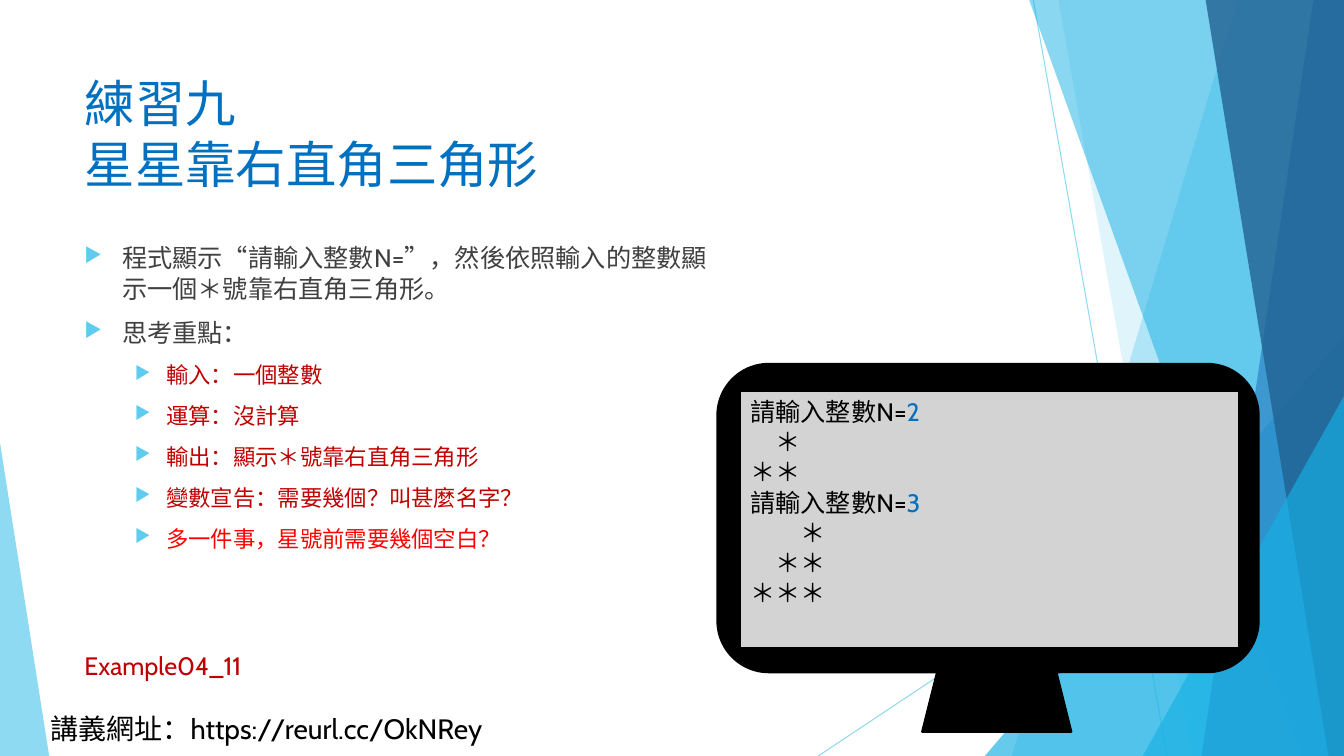
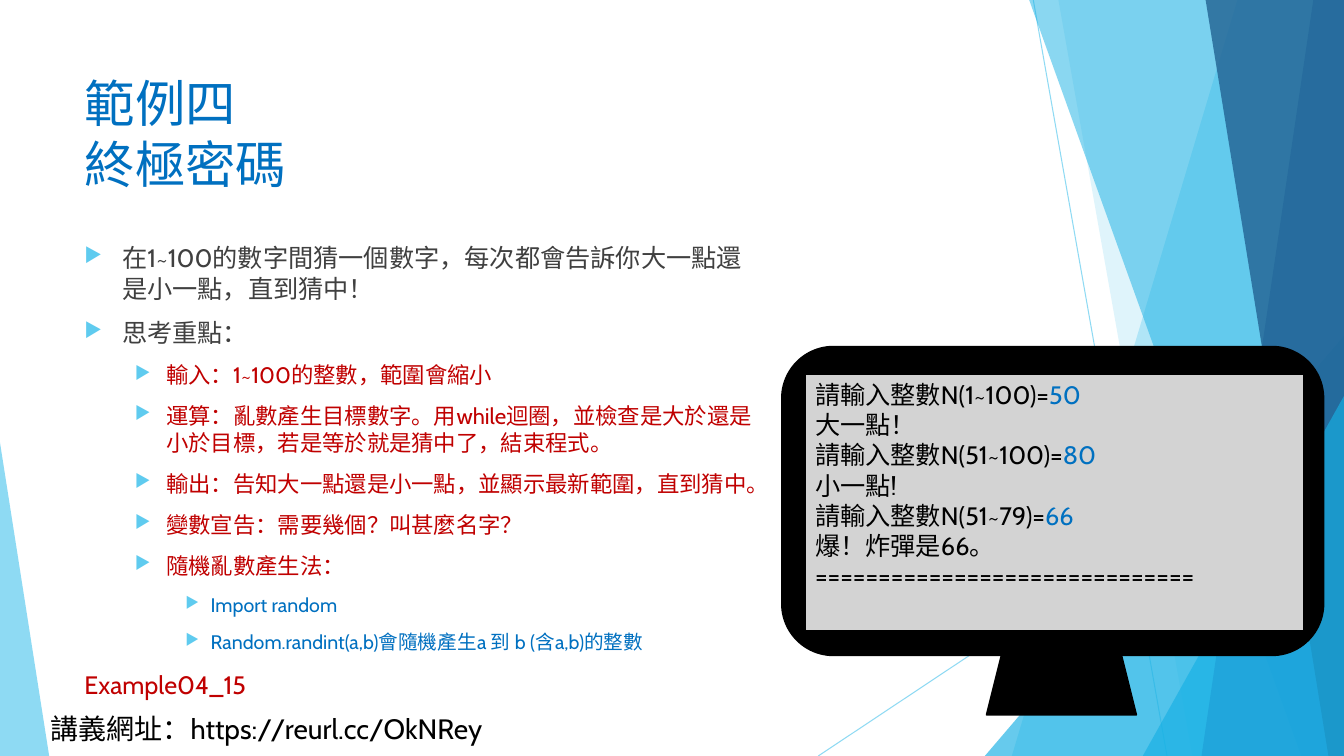
"""Two programming exercise slides with task notes and a monitor showing sample output."""
from lxml import etree
from pptx import Presentation
from pptx import util as u
from pptx.dml.color import RGBColor
from pptx.enum import shapes, text
from pptx.oxml.ns import qn

HUES = {
    "sky": "5FCBEF", "cyan": "17B0E4", "blue": "2E83C3", "navy": "226292",
    "title": "0070C0", "body": "404040", "deep": "C00000", "red": "FF0000",
    "black": "000000", "screen": "D3D3D3",
}
FONT = "Cabin"
WIDE, HIGH = 33.87, 19.05
RGB = {name: RGBColor.from_string(code) for name, code in HUES.items()}
KIND = shapes.MSO_SHAPE


def fade(shape, alpha):
    for tone in shape.element.iter(qn("a:srgbClr")):
        etree.SubElement(tone, qn("a:alpha")).set("val", str(alpha * 1000))


def style(para, size, hue):
    para.alignment = text.PP_ALIGN.LEFT
    para.font.name = FONT
    para.font.size = u.Pt(size)
    para.font.color.rgb = RGB[hue]


LINES = [((26.04, 0), (29.41, HIGH)), ((WIDE, 10.24), (20.62, HIGH))]
PANES = [
    ("sky", 36, (31.19, 25.5)),
    ("sky", 20, (26.67, 30.05)),
    ("cyan", 66, (24.82, 8.46, 9.05, 10.59)),
    ("cyan", 50, (25.93, 32.79)),
    ("blue", 70, (33.1, 30.28)),
    ("navy", 80, (30.38, 33.48)),
    ("cyan", 66, (28.8, 9.98, 5.07, 9.07)),
    ("sky", 70, (0, 11.15, 1.24, 7.9)),
]
LEVELS = [(0.95, 0.95, 18), (2.06, 0.79, 16), (3.18, 0.64, 14)]
MONITOR = [
    (KIND.ROUNDED_RECTANGLE, "black", (0, 0, 13.64, 7.77)),
    (KIND.TRAPEZOID, "black", (5.16, 7.77, 3.76, 1.5)),
    (KIND.RECTANGLE, "screen", (0.58, 0.69, 12.57, 6.48)),
]
PAGES = [
    {
        "title": "練習九\v星星靠右直角三角形",
        "width": 16.21,
        "notes": [
            (0, "body", "程式顯示“請輸入整數N=”，然後依照輸入的整數顯示一個＊號靠右直角三角形。"),
            (0, "body", "思考重點："),
            (1, "deep", "輸入：一個整數"),
            (1, "deep", "運算：沒計算"),
            (1, "deep", "輸出：顯示＊號靠右直角三角形"),
            (1, "deep", "變數宣告：需要幾個？叫甚麼名字？"),
            (1, "red", "多一件事，星號前需要幾個空白？"),
        ],
        "spot": (18.08, 9.17),
        "output": [
            ("請輸入整數N=", "2"), ("　＊", ""), ("＊＊", ""),
            ("請輸入整數N=", "3"), ("　　＊", ""), ("　＊＊", ""), ("＊＊＊", ""),
        ],
        "tag": ("Example04_11", 16.26),
    },
    {
        "title": "範例四\v終極密碼",
        "width": 17.35,
        "notes": [
            (0, "body", "在1~100的數字間猜一個數字，每次都會告訴你大一點還是小一點，直到猜中！"),
            (0, "body", "思考重點："),
            (1, "deep", "輸入：1~100的整數，範圍會縮小"),
            (1, "deep", "運算：亂數產生目標數字。用while迴圈，並檢查是大於還是小於目標，若是等於就是猜中了，結束程式。"),
            (1, "deep", "輸出：告知大一點還是小一點，並顯示最新範圍，直到猜中。"),
            (1, "deep", "變數宣告：需要幾個？叫甚麼名字？"),
            (1, "deep", "隨機亂數產生法："),
            (2, "title", "Import random"),
            (2, "title", "Random.randint(a,b)會隨機產生a 到 b (含a,b)的整數"),
        ],
        "spot": (19.71, 8.74),
        "output": [
            ("請輸入整數N(1~100)=", "50"), ("大一點！", ""),
            ("請輸入整數N(51~100)=", "80"), ("小一點!", ""),
            ("請輸入整數N(51~79)=", "66"), ("爆！炸彈是66。", ""),
            ("=" * 30, ""),
        ],
        "tag": ("Example04_15", 16.74),
    },
]

deck = Presentation()
deck.slide_width, deck.slide_height = u.Cm(WIDE), u.Cm(HIGH)
layout = deck.slide_layouts[5]
slides = [deck.slides.add_slide(layout) for page in PAGES]

draw = slides[0].shapes
decor = []
for start, end in LINES:
    line = draw.add_connector(shapes.MSO_CONNECTOR.STRAIGHT, *map(u.Cm, start + end))
    line.line.color.rgb = RGB["sky"]
    line.line.width = u.Pt(0.75)
    etree.SubElement(line.element.find(qn("p:spPr")), qn("a:effectLst"))
    fade(line, 70)
    decor.append(line)
for hue, alpha, geo in PANES:
    if len(geo) == 2:
        top, foot = geo
        form = draw.build_freeform(u.Cm(top), u.Cm(-0.02))
        rest = [(WIDE, -0.02), (WIDE, HIGH), (foot, HIGH)]
        form.add_line_segments([(u.Cm(x), u.Cm(y)) for x, y in rest])
        pane = form.convert_to_shape()
    else:
        pane = draw.add_shape(KIND.ISOSCELES_TRIANGLE, *map(u.Cm, geo))
        pane.adjustments[0] = 1 if geo[0] else 0
    pane.shadow.inherit = False
    pane.line.fill.background()
    pane.fill.solid()
    pane.fill.fore_color.rgb = RGB[hue]
    fade(pane, alpha)
    decor.append(pane)
footer = draw.add_textbox(*map(u.Cm, (1.02, 17.81, 12.01, 1.12)))
footer.text_frame.word_wrap = True
footer.text_frame.text = "講義網址：https://reurl.cc/OkNRey"
style(footer.text_frame.paragraphs[0], 20, "black")
decor.append(footer)
for num, item in enumerate(decor, 100):
    next(item.element.iter(qn("p:cNvPr"))).set("id", str(num))
    layout.shapes.element.append(item.element)

for slide, page in zip(slides, PAGES):
    title = slide.shapes.title
    title.left, title.top, title.width, title.height = map(u.Cm, (1.88, 1.7, 23.88, 3.66))
    frame = title.text_frame
    frame.text = page["title"]
    frame.vertical_anchor = text.MSO_ANCHOR.TOP
    frame.auto_size = text.MSO_AUTO_SIZE.NONE
    style(frame.paragraphs[0], 36, "title")

    body = slide.shapes.add_textbox(*map(u.Cm, (1.88, 5.99, page["width"], 10.77)))
    frame = body.text_frame
    frame.word_wrap = True
    for i, (level, hue, words) in enumerate(page["notes"]):
        para = frame.add_paragraph() if i else frame.paragraphs[0]
        para.text = words
        para.level = level
        margin, hang, size = LEVELS[level]
        props = para._p.get_or_add_pPr()
        props.set("marL", str(u.Cm(margin)))
        props.set("indent", str(-u.Cm(hang)))
        tone = etree.SubElement(props, qn("a:buClr"))
        etree.SubElement(tone, qn("a:srgbClr")).set("val", HUES["sky"])
        etree.SubElement(props, qn("a:buSzPct")).set("val", "80000")
        etree.SubElement(props, qn("a:buChar")).set("char", "▶")
        para.space_before = u.Pt(10 if i else 0)
        style(para, size, hue)

    left, top = page["spot"]
    for kind, hue, (x, y, w, h) in MONITOR:
        part = slide.shapes.add_shape(kind, *map(u.Cm, (left + x, top + y, w, h)))
        part.shadow.inherit = False
        part.fill.solid()
        part.fill.fore_color.rgb = RGB[hue]
        part.line.color.rgb = RGB["black"]
        part.line.width = u.Pt(1.5)
    frame = part.text_frame
    frame.word_wrap = True
    frame.vertical_anchor = text.MSO_ANCHOR.TOP
    for i, (prompt, answer) in enumerate(page["output"]):
        para = frame.add_paragraph() if i else frame.paragraphs[0]
        style(para, 18, "black")
        para.add_run().text = prompt
        if answer:
            run = para.add_run()
            run.text = answer
            run.font.color.rgb = RGB["title"]

    words, top = page["tag"]
    tag = slide.shapes.add_textbox(*map(u.Cm, (1.88, top, 4.65, 1.02)))
    tag.text_frame.word_wrap = True
    tag.text_frame.text = words
    style(tag.text_frame.paragraphs[0], 18, "deep")

deck.save("out.pptx")
